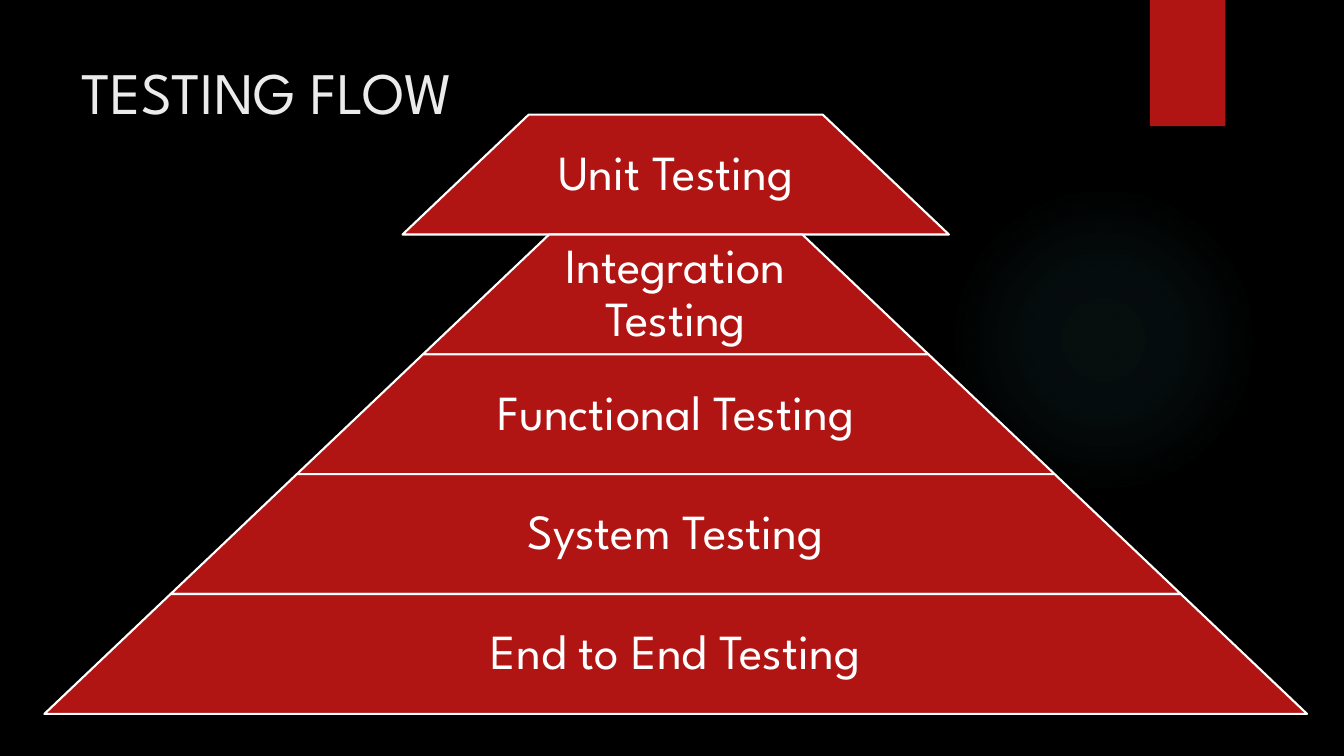
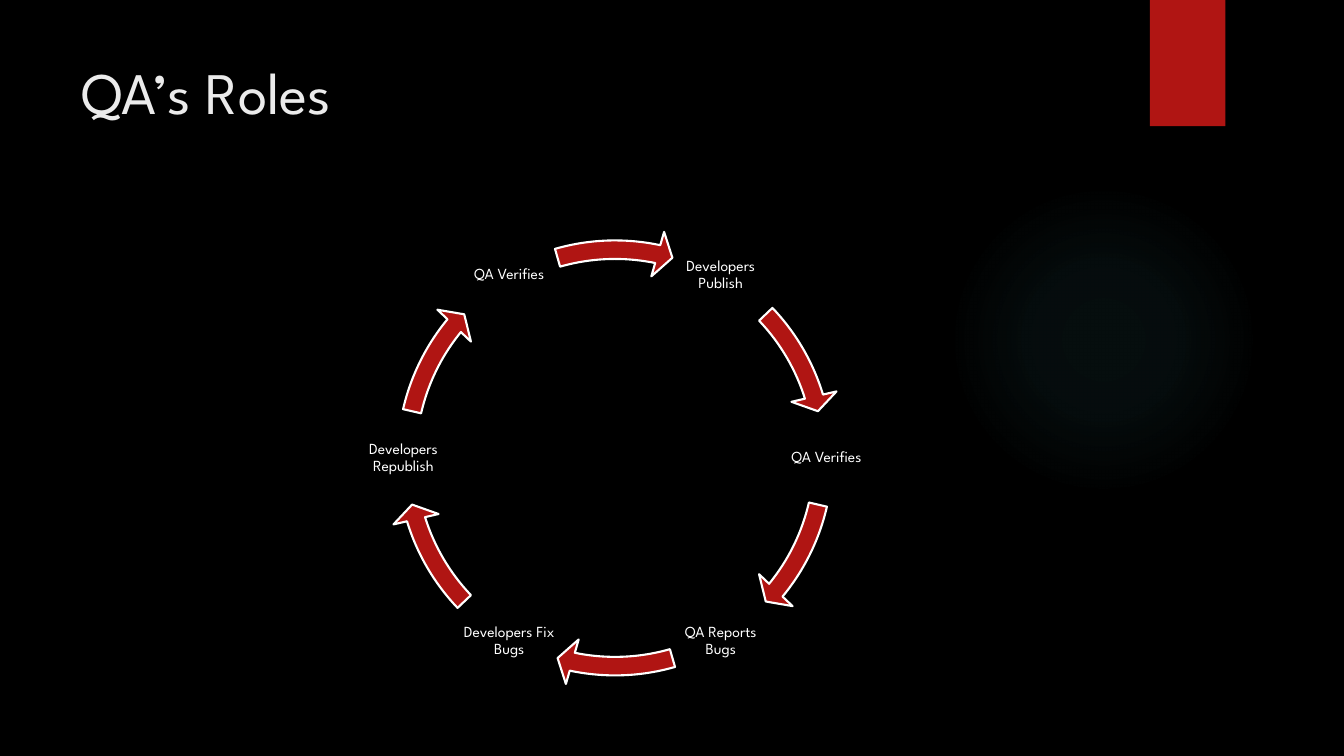
from dataclasses import dataclass
from math import cos, radians, sin

from lxml import etree
from pptx import Presentation
from pptx.dml.color import RGBColor
from pptx.enum.shapes import MSO_SHAPE
from pptx.enum.text import MSO_ANCHOR, PP_ALIGN
from pptx.oxml.ns import qn
from pptx.util import Cm, Pt

RECT, OVAL = MSO_SHAPE.RECTANGLE, MSO_SHAPE.OVAL
TIER, ARROW = MSO_SHAPE.TRAPEZOID, MSO_SHAPE.CIRCULAR_ARROW
TOP, MIDDLE = MSO_ANCHOR.TOP, MSO_ANCHOR.MIDDLE
LEFT, CENTER = PP_ALIGN.LEFT, PP_ALIGN.CENTER

# Shared look
BLACK, RED, WHITE, PALE, TEAL = "000000", "B01513", "FFFFFF", "EBEBEB", "50B9C1"
FONT = "League Spartan"
SIDES = ("left", "right", "top", "bottom")


@dataclass(frozen=True)
class Box:
    """Place and size in centimetres."""
    x: float
    y: float
    w: float
    h: float

    def emu(self) -> tuple:
        return Cm(self.x), Cm(self.y), Cm(self.w), Cm(self.h)


@dataclass(frozen=True)
class Style:
    size: float
    hue: str = WHITE
    align: int = CENTER
    anchor: int = MIDDLE
    pad: tuple = (0.13, 0.13)
    space: float = 0.9


@dataclass(frozen=True)
class Level:
    label: str
    width: float


TITLE = Style(42, PALE, LEFT, TOP, (0.25, 0.13), 1.0)
LEVEL = Style(35)
NODE = Style(11, pad=(0.04, 0.04))


def paint(code: str) -> RGBColor:
    return RGBColor.from_string(code)


def apply(target, values: dict) -> None:
    for name, value in values.items():
        setattr(target, name, value)


def add_text(slide, box: Box, text: str, style: Style) -> None:
    frame = slide.shapes.add_textbox(*box.emu()).text_frame
    pads = {f"margin_{side}": Cm(style.pad[i // 2]) for i, side in enumerate(SIDES)}
    apply(frame, {"word_wrap": True, "vertical_anchor": style.anchor, **pads})
    para = frame.paragraphs[0]
    apply(para, {"alignment": style.align, "line_spacing": style.space})
    run = para.add_run()
    run.text = text
    apply(run.font, {"name": FONT, "size": Pt(style.size)})
    run.font.color.rgb = paint(style.hue)


def add_form(slide, kind: int, box: Box, adjust: tuple = (), edge: bool = True):
    form = slide.shapes.add_shape(kind, *box.emu())
    form.shadow.inherit = False
    form.fill.solid()
    form.fill.fore_color.rgb = paint(RED)
    if edge:
        form.line.color.rgb = paint(WHITE)
        form.line.width = Pt(1.5)
    else:
        form.line.fill.background()
    for i, value in enumerate(adjust):
        form.adjustments[i] = value
    return form


def add_glow(slide) -> None:
    form = add_form(slide, OVAL, Box(23.9, 4.65, 7.82, 7.82), edge=False)
    solid = form._element.spPr.find(qn("a:solidFill"))
    grad = etree.Element(qn("a:gradFill"), rotWithShape="1")
    stops = etree.SubElement(grad, qn("a:gsLst"))
    for place, alpha in ((0, 7), (36, 6), (69, 0)):
        stop = etree.SubElement(stops, qn("a:gs"), pos=str(place * 1000))
        hue = etree.SubElement(stop, qn("a:srgbClr"), val=TEAL)
        etree.SubElement(hue, qn("a:alpha"), val=str(alpha * 1000))
    round_ = etree.SubElement(grad, qn("a:path"), path="circle")
    etree.SubElement(round_, qn("a:fillToRect"), l="50000", t="50000", r="50000", b="50000")
    solid.getparent().replace(solid, grad)


def add_page(deck, title: str):
    slide = deck.slides.add_slide(deck.slide_layouts[6])
    add_glow(slide)
    add_form(slide, RECT, Box(28.98, 0, 1.9, 3.18), edge=False)
    add_text(slide, Box(1.8, 1.27, 26.14, 3.89), title, TITLE)
    return slide


# Pyramid of test levels
MID, PEAK, TALL, SLOPE = 17.03, 2.89, 3.02, 3.18
BASE = 31.82
STEPS = ("Integration Testing", "Functional Testing", "System Testing", "End to End Testing")
LEVELS = [Level("Unit Testing", 13.77)] + [
    Level(label, BASE - 2 * SLOPE * (len(STEPS) - 1 - i)) for i, label in enumerate(STEPS)
]


def draw_flow(slide) -> None:
    for i, level in enumerate(LEVELS):
        y = PEAK + i * TALL
        inner = 0.65 * level.width
        add_form(slide, TIER, Box(MID - level.width / 2, y, level.width, TALL), (SLOPE / TALL,))
        add_text(slide, Box(MID - inner / 2, y, inner, TALL), level.label, LEVEL)


# Ring of roles, clockwise from upper right
HUB_X, HUB_Y, REACH, RING, CELL = 15.5, 11.54, 5.33, 11.66, 2.39
ROLES = ("Developers Publish", "QA Verifies", "QA Reports Bugs",
         "Developers Fix Bugs", "Developers Republish", "QA Verifies")
ARCS = ((12.95, 39.43), (13.98, 41.84), (16.39, 42.88))
UNIT = 0.6  # adjustment units per degree


def draw_roles(slide) -> None:
    turn = 360 / len(ROLES)
    for i, role in enumerate(ROLES):
        angle = (i - 1) * turn
        x = HUB_X + REACH * cos(radians(angle))
        y = HUB_Y + REACH * sin(radians(angle))
        add_text(slide, Box(x - CELL / 2, y - CELL / 2, CELL, CELL), role, NODE)
        start, end = ((angle + gap) % 360 * UNIT for gap in ARCS[(i - 1) % len(ARCS)])
        add_form(slide, ARROW, Box(HUB_X - RING / 2, HUB_Y - RING / 2, RING, RING),
                 (0.04, 2.5, end, start, 0.05))


# Build the deck
deck = Presentation()
apply(deck, {"slide_width": Cm(33.87), "slide_height": Cm(19.05)})
ground = deck.slide_master.background.fill
ground.solid()
ground.fore_color.rgb = paint(BLACK)
for title, draw in (("TESTING FLOW", draw_flow), ("QA’s Roles", draw_roles)):
    draw(add_page(deck, title))
deck.save("out.pptx")
